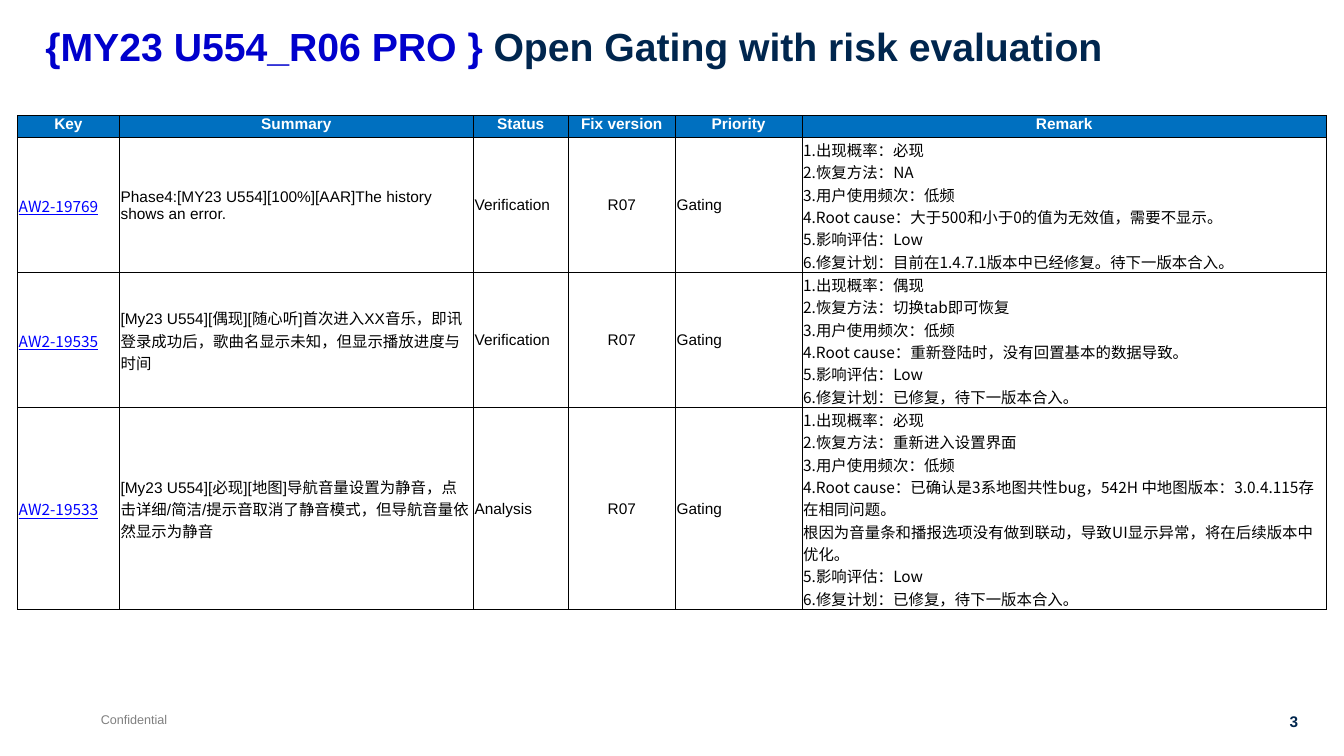
"""Build the slide of open gating issues with their risk evaluation."""
from copy import deepcopy

from lxml.etree import SubElement
from pptx import Presentation
from pptx.dml.color import RGBColor as Rgb
from pptx.enum.text import MSO_ANCHOR as Anchor, PP_ALIGN as Align
from pptx.oxml.ns import qn
from pptx.util import Cm, Pt

HUES = {"navy": "00264E", "blue": "0000CC", "head": "0070C0", "link": "0000FF",
        "white": "FFFFFF", "black": "000000", "gray": "808080"}
SANS, HAN = "Arial", "Noto Sans CJK SC"
WIDTHS = [2.57, 8.92, 2.39, 2.7, 3.19, 13.22]
HEIGHTS = [0.55, 3.4, 3.4, 5.09]
HEADS = ["Key", "Summary", "Status", "Fix version", "Priority", "Remark"]
CENTER = HEADS.index("Fix version")
ISSUES = [
    ["AW2-19769", "Phase4:[MY23 U554][100%][AAR]The history shows an error.",
     "Verification", "R07", "Gating",
     "1.出现概率：必现\n2.恢复方法：NA\n3.用户使用频次：低频\n"
     "4.Root cause：大于500和小于0的值为无效值，需要不显示。\n"
     "5.影响评估：Low\n6.修复计划：目前在1.4.7.1版本中已经修复。待下一版本合入。"],
    ["AW2-19535",
     "[My23 U554][偶现][随心听]首次进入XX音乐，即讯登录成功后，歌曲名显示未知，但显示播放进度与时间",
     "Verification", "R07", "Gating",
     "1.出现概率：偶现\n2.恢复方法：切换tab即可恢复\n3.用户使用频次：低频\n"
     "4.Root cause：重新登陆时，没有回置基本的数据导致。\n"
     "5.影响评估：Low\n6.修复计划：已修复，待下一版本合入。"],
    ["AW2-19533",
     "[My23 U554][必现][地图]导航音量设置为静音，点击详细/简洁/提示音取消了静音模式，但导航音量依然显示为静音",
     "Analysis", "R07", "Gating",
     "1.出现概率：必现\n2.恢复方法：重新进入设置界面\n3.用户使用频次：低频\n"
     "4.Root cause：已确认是3系地图共性bug，542H 中地图版本：3.0.4.115存在相同问题。\n"
     "根因为音量条和播报选项没有做到联动，导致UI显示异常，将在后续版本中优化。\n"
     "5.影响评估：Low\n6.修复计划：已修复，待下一版本合入。"],
]


def style(run, size, hue, bold=False, face=SANS):
    """Format one run, with a Chinese face for its Han text."""
    font = run.font
    font.size, font.bold, font.name = Pt(size), bold, face
    font.color.rgb = Rgb.from_string(HUES[hue])
    SubElement(font._element, qn("a:ea"), typeface=HAN)


def write(para, text, size, hue, bold=False, face=SANS, align=Align.LEFT):
    """Fill a paragraph and give its runs and line breaks one format."""
    para.text = text
    para.alignment = align
    for run in para.runs:
        style(run, size, hue, bold, face)
    for gap in para._p.findall(qn("a:br")):
        gap.append(deepcopy(para.runs[0].font._element))


def add_title(slide):
    """Place the two-colour title."""
    title = slide.shapes.title
    title.left, title.top = Cm(0.89), Cm(0.56)
    title.width, title.height = Cm(32.97), Cm(1.35)
    title.text_frame.vertical_anchor = Anchor.MIDDLE
    para = title.text_frame.paragraphs[0]
    para.alignment, para.line_spacing = Align.LEFT, 0.9
    for text, hue in [("{MY23 U554_R06 PRO } ", "blue"),
                      ("Open Gating with risk evaluation", "navy")]:
        run = para.add_run()
        run.text = text
        style(run, 28, hue, True)


def add_note(slide, text, left, width, height, **look):
    """Add a one-line text box at the foot of the slide."""
    box = slide.shapes.add_textbox(Cm(left), Cm(17.81), Cm(width), Cm(height))
    box.text_frame.word_wrap = False
    write(box.text_frame.paragraphs[0], text, **look)


def add_edges(cell):
    """Draw thin black lines round a cell."""
    props = cell._tc.get_or_add_tcPr()
    for side in "LRTB":
        line = SubElement(props, qn(f"a:ln{side}"), w=str(Pt(0.5)))
        fill = SubElement(line, qn("a:solidFill"))
        SubElement(fill, qn("a:srgbClr"), val=HUES["black"])


def fill_head(cell, text):
    """Fill a heading cell."""
    cell.margin_left = cell.margin_right = cell.margin_top = cell.margin_bottom = 0
    cell.fill.solid()
    cell.fill.fore_color.rgb = Rgb.from_string(HUES["head"])
    write(cell.text_frame.paragraphs[0], text, 11, "white", True, align=Align.CENTER)


def fill_cell(cell, text, col):
    """Fill a body cell by the rule of its column."""
    cell.margin_left = cell.margin_right = cell.margin_top = Cm(0.03)
    cell.margin_bottom = 0
    cell.vertical_anchor = Anchor.MIDDLE
    cell.fill.background()
    para = cell.text_frame.paragraphs[0]
    write(para, text, 11, "black" if col else "link",
          face=HAN if HEADS[col] in ("Key", "Remark") else SANS,
          align=Align.CENTER if col == CENTER else Align.LEFT)
    if col == 0:
        para.runs[0].font.underline = True


def add_grid(slide):
    """Add the table of issues."""
    rows = [HEADS] + ISSUES
    table = slide.shapes.add_table(len(rows), len(HEADS), Cm(0.44), Cm(2.91),
                                   Cm(sum(WIDTHS)), Cm(sum(HEIGHTS))).table
    table.first_row = table.horz_banding = False
    for col, width in zip(table.columns, WIDTHS):
        col.width = Cm(width)
    for row, height in zip(table.rows, HEIGHTS):
        row.height = Cm(height)
    for i, texts in enumerate(rows):
        for j, text in enumerate(texts):
            cell = table.cell(i, j)
            add_edges(cell)
            if i:
                fill_cell(cell, text, j)
            else:
                fill_head(cell, text)


def main():
    """Build and save the deck."""
    deck = Presentation()
    deck.slide_width, deck.slide_height = Cm(33.87), Cm(19.05)
    slide = deck.slides.add_slide(deck.slide_layouts[5])
    add_note(slide, "Confidential", 2.29, 2.21, 0.64, size=9, hue="gray")
    add_note(slide, "3", 31.98, 0.99, 0.74, size=11, hue="navy", bold=True,
             align=Align.RIGHT)
    add_title(slide)
    add_grid(slide)
    deck.save("out.pptx")


if __name__ == "__main__":
    main()
